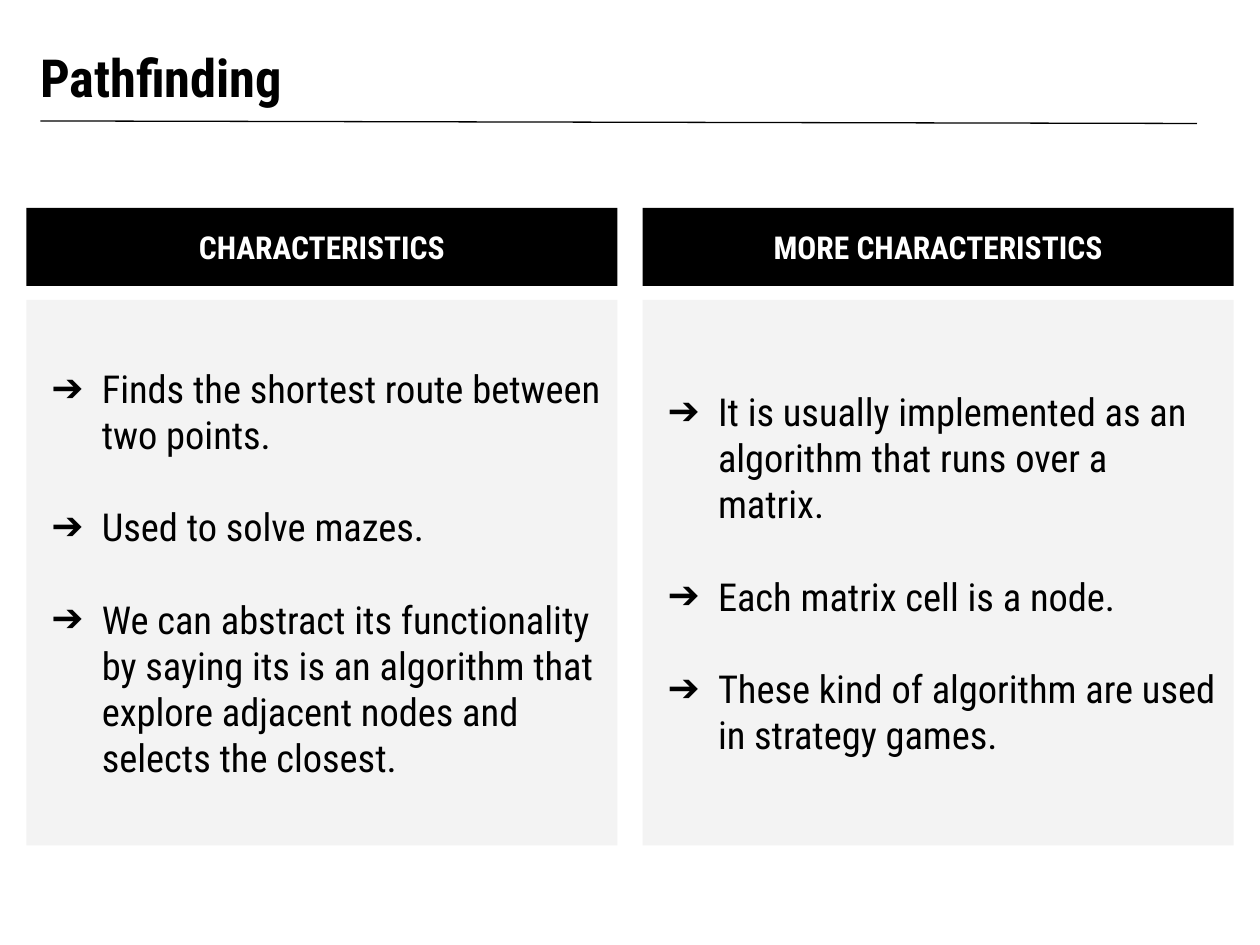
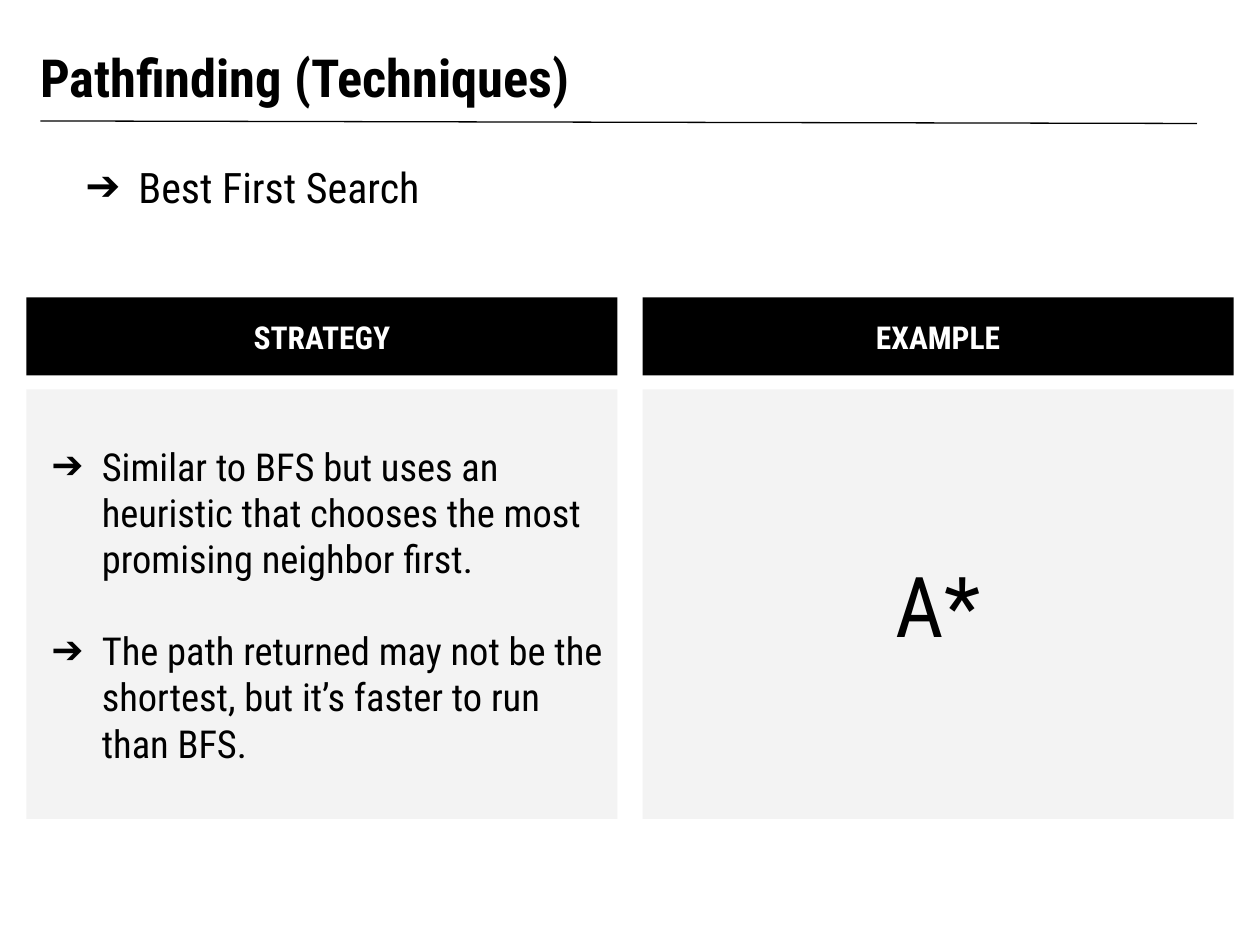
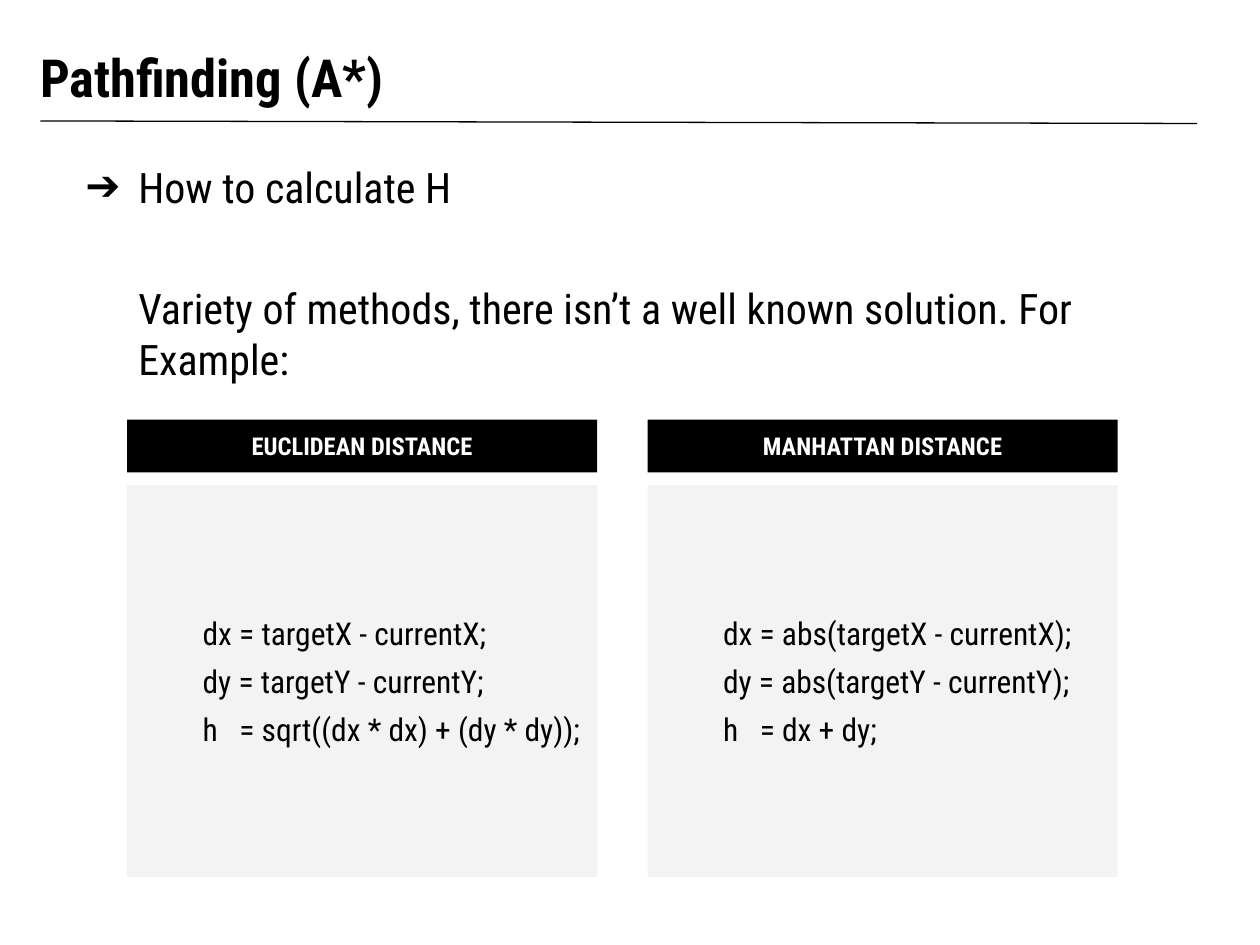
"""Build three slides on pathfinding and its heuristics."""
import dataclasses

import lxml.etree
import pptx
import pptx.dml.color
import pptx.enum.shapes
import pptx.enum.text
import pptx.oxml.ns
import pptx.util

PX = pptx.util.Inches(1) // 100
FONT = "Roboto Condensed"
BLACK = pptx.dml.color.RGBColor(0x00, 0x00, 0x00)
WHITE = pptx.dml.color.RGBColor(0xFF, 0xFF, 0xFF)
PALE_GREY = pptx.dml.color.RGBColor(0xF3, 0xF3, 0xF3)
LEFT = pptx.enum.text.PP_ALIGN.LEFT
CENTER = pptx.enum.text.PP_ALIGN.CENTER
TOP = pptx.enum.text.MSO_ANCHOR.TOP
MIDDLE = pptx.enum.text.MSO_ANCHOR.MIDDLE
BOTTOM = pptx.enum.text.MSO_ANCHOR.BOTTOM


@dataclasses.dataclass(frozen=True)
class TextStyle:
    """Hold text settings: spacing in points, indents in px."""
    size: int
    color: pptx.dml.color.RGBColor = BLACK
    bold: bool = False
    align: pptx.enum.text.PP_ALIGN = LEFT
    margin: int = 0
    hanging: int = 0
    first_before: float = 0
    before: float = 0


TITLE = TextStyle(30, bold=True)
HEADING = TextStyle(18, WHITE, True, CENTER)
SMALL_HEADING = dataclasses.replace(HEADING, size=14)
BULLETS = TextStyle(22, margin=50, hanging=40, before=26.4)
TOPIC = TextStyle(24, margin=50, hanging=42, first_before=6)
REMARK = TextStyle(24, margin=50, first_before=40.6)
FORMULA = TextStyle(18, margin=50, first_before=6, before=6)
BIG_NAME = TextStyle(48, align=CENTER, first_before=6)


@dataclasses.dataclass(frozen=True)
class ColumnGrid:
    """Place two headed columns, in px."""
    left: int
    width: int
    gap: int
    heading_top: int
    heading_height: int
    body_top: int
    body_height: int


class Deck:
    """Hold the presentation, its style and the current slide."""

    def __init__(self):
        """Start a 10 by 7.5 inch presentation."""
        self.presentation = pptx.Presentation()
        self.presentation.slide_width = 1000 * PX
        self.presentation.slide_height = 750 * PX
        self.slide = None

    def new_slide(self, title):
        """Add a slide with its title and the rule below it."""
        self.slide = self.presentation.slides.add_slide(self.presentation.slide_layouts[6])
        self.rule(32, 96, 950, 98)
        self.text_box(22, 22, 900, 74, [(title, TITLE)], BOTTOM)

    def rule(self, x1, y1, x2, y2):
        """Draw a thin black line."""
        connector = self.slide.shapes.add_connector(
            pptx.enum.shapes.MSO_CONNECTOR.STRAIGHT, x1 * PX, y1 * PX, x2 * PX, y2 * PX)
        connector.line.color.rgb = BLACK
        connector.line.width = pptx.util.Pt(0.75)
        lxml.etree.SubElement(connector._element.spPr, pptx.oxml.ns.qn("a:effectLst"))

    def text_box(self, left, top, width, height, lines, anchor=TOP):
        """Add a text box with (text, style) lines."""
        shape = self.slide.shapes.add_textbox(left * PX, top * PX, width * PX, height * PX)
        self.set_text(shape, lines, anchor)

    def panel(self, left, top, width, height, fill, lines):
        """Add a filled rectangle with (text, style) lines."""
        shape = self.slide.shapes.add_shape(
            pptx.enum.shapes.MSO_SHAPE.RECTANGLE, left * PX, top * PX, width * PX, height * PX)
        shape.shadow.inherit = False
        shape.fill.solid()
        shape.fill.fore_color.rgb = fill
        shape.line.fill.background()
        self.set_text(shape, lines, MIDDLE)

    def columns(self, grid, heading_style, columns):
        """Add columns given as (heading, body texts, body style)."""
        for index, (heading, texts, style) in enumerate(columns):
            left = grid.left + index * (grid.width + grid.gap)
            self.panel(left, grid.body_top, grid.width, grid.body_height, PALE_GREY,
                       [(text, style) for text in texts])
            self.panel(left, grid.heading_top, grid.width, grid.heading_height, BLACK,
                       [(heading, heading_style)])

    def set_text(self, shape, lines, anchor):
        """Fill a shape with styled paragraphs."""
        frame = shape.text_frame
        frame.word_wrap = True
        frame.vertical_anchor = anchor
        frame.margin_left = frame.margin_right = 10 * PX
        frame.margin_top = frame.margin_bottom = 10 * PX
        for index, (text, style) in enumerate(lines):
            paragraph = frame.add_paragraph() if index else frame.paragraphs[0]
            paragraph.text = text
            paragraph.alignment = style.align
            first = index == 0 or style is not lines[index - 1][1]
            paragraph.space_before = pptx.util.Pt(style.first_before if first else style.before)
            self.indent(paragraph, style)
            font = paragraph.font
            font.name = FONT
            font.size = pptx.util.Pt(style.size)
            font.bold = style.bold
            font.color.rgb = style.color

    def indent(self, paragraph, style):
        """Set the margin and, for a hanging indent, an arrow bullet."""
        properties = paragraph._p.get_or_add_pPr()
        properties.set("marL", str(style.margin * PX))
        properties.set("indent", str(-style.hanging * PX))
        if style.hanging:
            qn = pptx.oxml.ns.qn
            color = lxml.etree.SubElement(properties, qn("a:buClr"))
            lxml.etree.SubElement(color, qn("a:srgbClr"), val=str(style.color))
            lxml.etree.SubElement(properties, qn("a:buFont"), typeface=FONT)
            lxml.etree.SubElement(properties, qn("a:buChar"), char="➔")


def main():
    """Build and save the slides."""
    deck = Deck()

    deck.new_slide("Pathfinding")
    wide_grid = ColumnGrid(21, 469, 20, 165, 62, 238, 433)
    deck.columns(wide_grid, HEADING, [
        ("CHARACTERISTICS", [
            "Finds the shortest route between two points.",
            "Used to solve mazes.",
            "We can abstract its functionality by saying its is an algorithm that "
            "explore adjacent nodes and selects the closest.",
        ], BULLETS),
        ("MORE CHARACTERISTICS", [
            "It is usually implemented as an algorithm that runs over a matrix.",
            "Each matrix cell is a node.",
            "These kind of algorithm are used in strategy games.",
        ], BULLETS),
    ])

    deck.new_slide("Pathfinding (Techniques)")
    lower_grid = dataclasses.replace(wide_grid, heading_top=236, body_top=309, body_height=341)
    deck.columns(lower_grid, HEADING, [
        ("STRATEGY", [
            "Similar to BFS but uses an heuristic that chooses the most promising neighbor first.",
            "The path returned may not be the shortest, but it’s faster to run than BFS.",
        ], BULLETS),
        ("EXAMPLE", ["A*"], BIG_NAME),
    ])
    deck.text_box(50, 118, 900, 74, [("Best First Search", TOPIC)])

    deck.new_slide("Pathfinding (A*)")
    deck.text_box(50, 118, 900, 205, [
        ("How to calculate H", TOPIC),
        ("Variety of methods, there isn’t a well known solution. For Example:", REMARK),
    ])
    deck.columns(ColumnGrid(101, 373, 40, 333, 42, 385, 311), SMALL_HEADING, [
        ("EUCLIDEAN DISTANCE", [
            "dx = targetX - currentX;",
            "dy = targetY - currentY;",
            "h   = sqrt((dx * dx) + (dy * dy));",
        ], FORMULA),
        ("MANHATTAN DISTANCE", [
            "dx = abs(targetX - currentX);",
            "dy = abs(targetY - currentY);",
            "h   = dx + dy;",
        ], FORMULA),
    ])

    deck.presentation.save("out.pptx")


if __name__ == "__main__":
    main()
